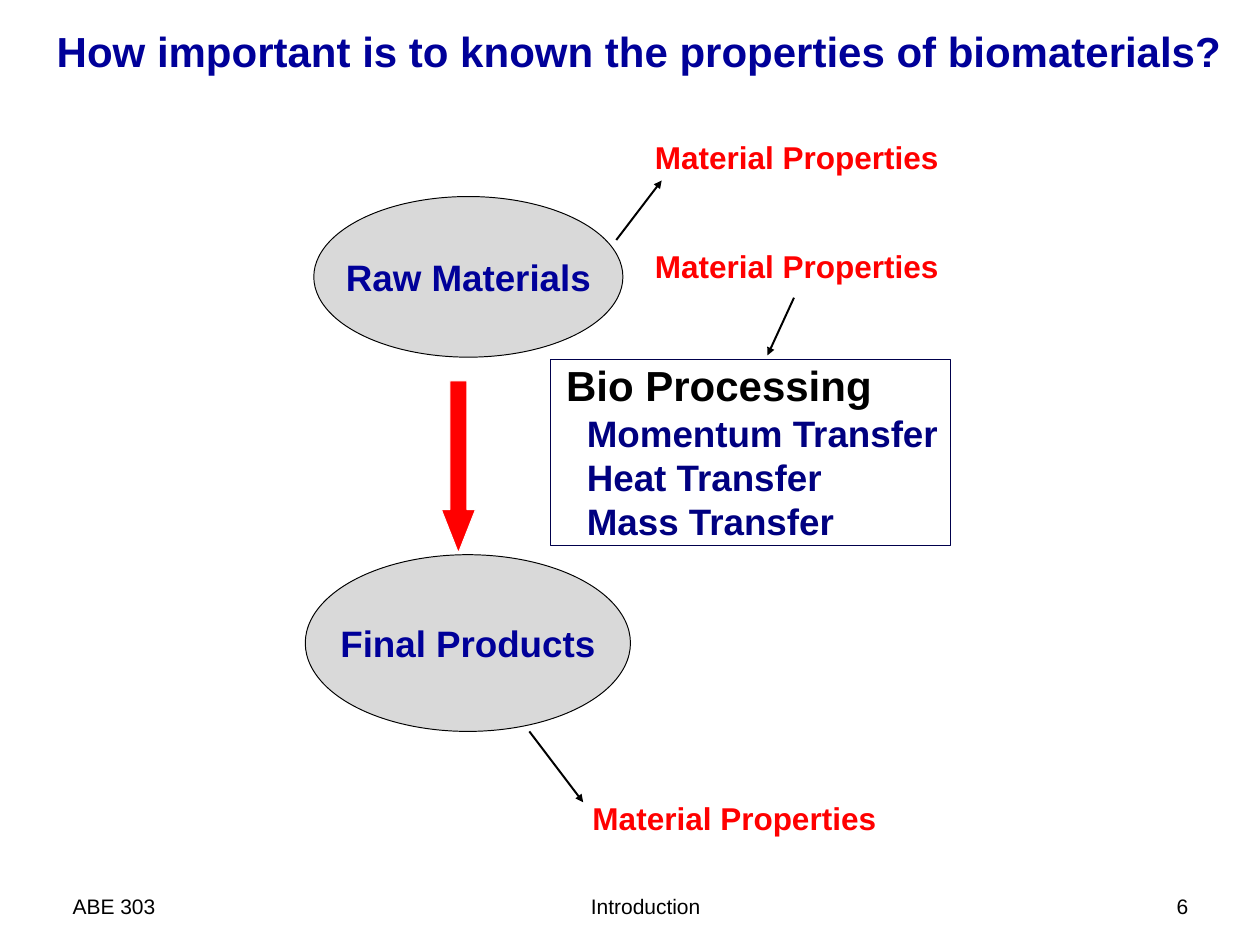
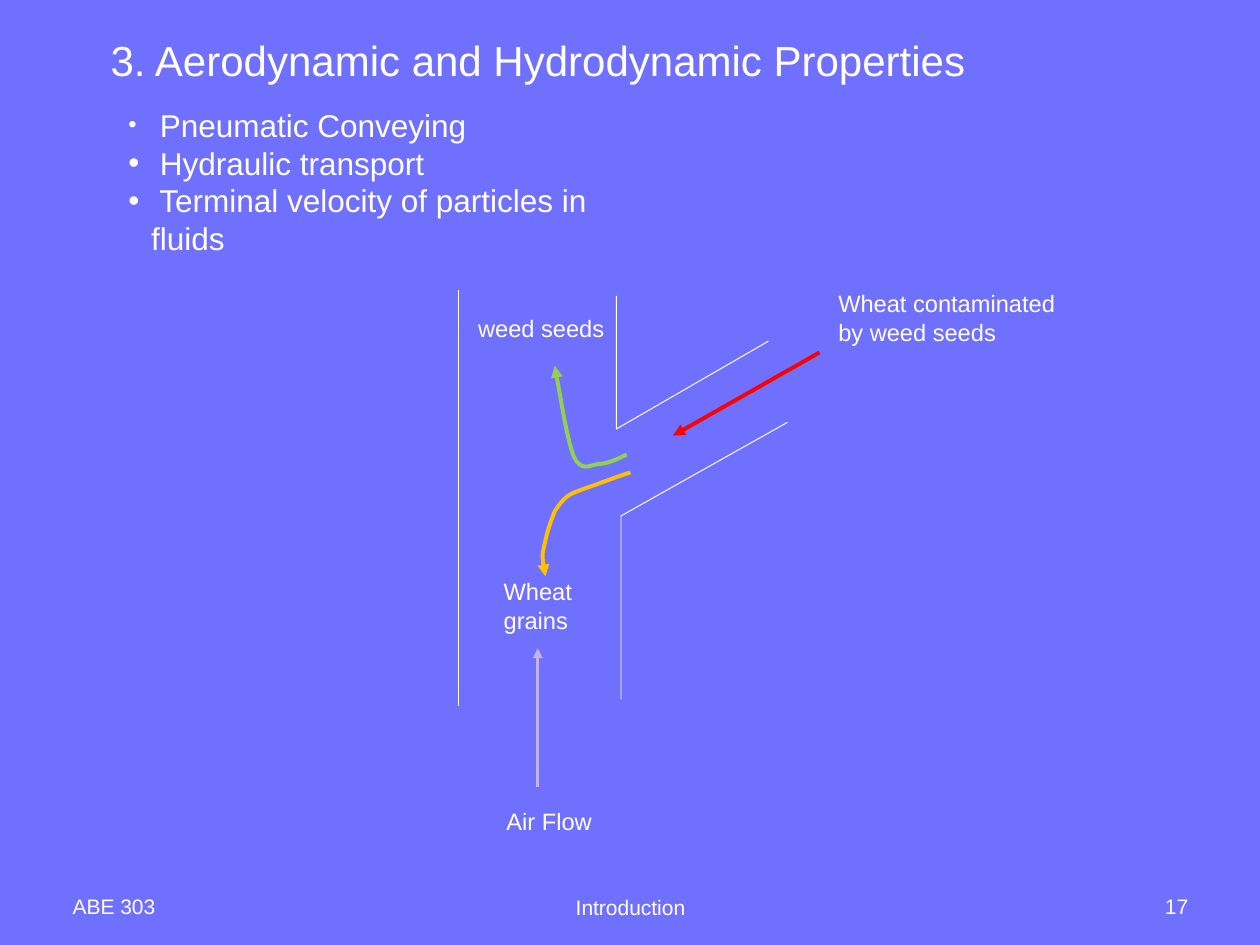
from lxml import etree
from pptx import Presentation
from pptx.dml.color import RGBColor
from pptx.enum.shapes import MSO_CONNECTOR, MSO_SHAPE
from pptx.enum.text import MSO_ANCHOR as Anchor, MSO_AUTO_SIZE, PP_ALIGN as Align
from pptx.oxml.ns import qn
from pptx.util import Inches, Pt

FONT = "Arial"
COLORS = {
    "white": "FFFFFF", "black": "000000", "periwinkle": "7070FF",
    "title blue": "000099", "navy": "000080", "frame": "00004C",
    "grey": "D9D9D9", "red": "FF0000", "green": "92D050",
    "amber": "FFC000", "lilac": "C5B1E5",
}
TITLE_ONLY = 5


def rgb(color):
    return RGBColor.from_string(COLORS[color])


def inches(*lengths):
    return [Inches(length) for length in lengths]


def add_bullet(paragraph, percent):
    props = paragraph._p.get_or_add_pPr()
    etree.SubElement(props, qn("a:buSzPct"), val=str(percent * 1000))
    etree.SubElement(props, qn("a:buFont"), typeface=FONT)
    etree.SubElement(props, qn("a:buChar"), char="•")


def write(frame, *lines, size=18, color="black", bold=False, align=Align.LEFT,
          anchor=Anchor.TOP, wrap=False, indent=0, hanging=0, bullets=()):
    """Fill a frame; a line is a string or (string, size, color, indent)."""
    frame.auto_size = MSO_AUTO_SIZE.NONE
    frame.word_wrap = wrap
    frame.vertical_anchor = anchor
    for number, line in enumerate(lines):
        if isinstance(line, str):
            line = (line, size, color, indent)
        text, line_size, line_color, left = line
        paragraph = frame.add_paragraph() if number else frame.paragraphs[0]
        paragraph.alignment = align
        if left:
            props = paragraph._p.get_or_add_pPr()
            props.set("marL", str(Inches(left)))
            props.set("indent", str(-Inches(hanging)))
        if bullets:
            add_bullet(paragraph, bullets[number])
        run = paragraph.add_run()
        run.text = text
        run.font.name, run.font.size, run.font.bold = FONT, Pt(line_size), bold
        run.font.color.rgb = rgb(line_color)


def add_text(slide, box, *lines, **style):
    write(slide.shapes.add_textbox(*inches(*box)).text_frame, *lines, **style)


def add_title_slide(deck, title, box, background, **style):
    slide = deck.slides.add_slide(deck.slide_layouts[TITLE_ONLY])
    slide.background.fill.solid()
    slide.background.fill.fore_color.rgb = rgb(background)
    heading = slide.shapes.title
    heading.left, heading.top, heading.width, heading.height = inches(*box)
    write(heading.text_frame, title, size=32, wrap=True, **style)
    return slide


def add_footer(slide, number, color, middle):
    style = dict(size=16, color=color, anchor=Anchor.BOTTOM, wrap=True)
    add_text(slide, (0.67, 9.1, 3.11, 0.67), "ABE 303", **style)
    add_text(slide, (*middle, 4.22, 0.67), "Introduction", align=Align.CENTER, **style)
    add_text(slide, (9.56, 9.1, 3.11, 0.67), str(number), align=Align.RIGHT, **style)


def set_line(shape, color, width, arrow=False):
    shape.line.color.rgb = rgb(color)
    shape.line.width = Pt(width)
    if arrow:
        etree.SubElement(shape.line._get_or_add_ln(), qn("a:tailEnd"), type="triangle")


def add_shape(slide, kind, box, fill, line):
    shape = slide.shapes.add_shape(kind, *inches(*box))
    shape.shadow.inherit = False
    if fill:
        shape.fill.solid()
        shape.fill.fore_color.rgb = rgb(fill)
    else:
        shape.fill.background()
    set_line(shape, line, 0.75)
    return shape


def add_line(slide, start, end, color, width, arrow=True):
    line = slide.shapes.add_connector(MSO_CONNECTOR.STRAIGHT, *inches(*start, *end))
    set_line(line, color, width, arrow)
    etree.SubElement(line._element.spPr, qn("a:effectLst"))


def add_path(slide, points, color, width, arrow=False):
    """Draw an open outline through the points."""
    builder = slide.shapes.build_freeform(
        *inches(*points[0]), scale=1.0)
    builder.add_line_segments([inches(*point) for point in points[1:]], close=False)
    outline = builder.convert_to_shape()
    outline.shadow.inherit = False
    outline.fill.background()
    set_line(outline, color, width, arrow)


def bezier(points, steps=8):
    """Sample joined cubic curves: a start, then three points per curve."""
    samples = [points[0]]
    for first in range(0, len(points) - 1, 3):
        controls = points[first:first + 4]
        for step in range(1, steps + 1):
            t = step / steps
            weights = ((1 - t) ** 3, 3 * t * (1 - t) ** 2, 3 * t ** 2 * (1 - t), t ** 3)
            samples.append(tuple(
                sum(w * point[axis] for w, point in zip(weights, controls))
                for axis in (0, 1)))
    return samples


def build_importance(deck):
    slide = add_title_slide(
        deck, "How important is to known the properties of biomaterials?",
        (0.5, 0.22, 12.67, 0.64), "white", color="title blue", bold=True)

    for stage, box in (("Raw Materials", (3.32, 2.08, 3.27, 1.7)),
                       ("Final Products", (3.23, 5.87, 3.44, 1.87))):
        oval = add_shape(slide, MSO_SHAPE.OVAL, box, "grey", "black")
        write(oval.text_frame, stage, size=28, color="title blue", bold=True,
              align=Align.CENTER, anchor=Anchor.MIDDLE)

    process_arrow = add_shape(slide, MSO_SHAPE.DOWN_ARROW, (4.67, 4.03, 0.36, 1.82),
                              "red", "white")
    process_arrow.adjustments[1] = 1.27

    transfers = [(f"{kind} Transfer", 28, "navy", 0.22)
                 for kind in ("Momentum", "Heat", "Mass")]
    add_text(slide, (5.89, 3.76, 4.18, 2.05), "Bio Processing", *transfers,
             size=32, bold=True)
    add_shape(slide, MSO_SHAPE.RECTANGLE, (5.82, 3.8, 4.24, 1.97), None, "frame")

    for label_at, start, end in (((6.83, 1.41), (6.52, 2.54), (7, 1.91)),
                                 ((6.83, 2.56), (8.4, 3.15), (8.12, 3.76)),
                                 ((6.17, 8.41), (5.6, 7.74), (6.17, 8.49))):
        add_text(slide, (*label_at, 3.23, 0.51), "Material Properties",
                 size=24, color="red", bold=True)
        add_line(slide, start, end, "black", 1.5)

    add_footer(slide, 6, "black", (4.72, 9.1))


def build_aerodynamics(deck):
    slide = add_title_slide(
        deck, "3. Aerodynamic and Hydrodynamic Properties",
        (1.07, 0.31, 9.32, 0.64), "periwinkle", color="white")
    add_text(slide, (1.26, 1.07, 5.85, 1.31), " Pneumatic Conveying",
             " Hydraulic transport", " Terminal velocity of particles in fluids",
             size=24, color="white", wrap=True, indent=0.24, hanging=0.24,
             bullets=(75, 100, 100))

    add_line(slide, (4.85, 3.07), (4.85, 7.47), "white", 0.75, arrow=False)
    for duct_wall in (((6.52, 3.13), (6.52, 4.54), (8.13, 3.61)),
                      ((8.33, 4.47), (6.57, 5.46), (6.57, 7.4))):
        add_path(slide, duct_wall, "white", 0.75)

    add_line(slide, (5.69, 8.33), (5.69, 6.86), "lilac", 2.5)
    add_line(slide, (8.67, 3.73), (7.12, 4.61), "red", 3)
    weed_path = ((6.63, 4.81), (6.53, 4.86), (6.42, 4.91), (6.33, 4.91),
                 (6.24, 4.92), (6.15, 5), (6.07, 4.83),
                 (6, 4.65), (5.94, 4.26), (5.87, 3.87))
    wheat_path = ((6.67, 5), (6.54, 5.04), (6.41, 5.09), (6.3, 5.13),
                  (6.19, 5.17), (6.09, 5.2), (6.02, 5.24),
                  (5.95, 5.29), (5.91, 5.35), (5.87, 5.41),
                  (5.84, 5.48), (5.81, 5.57), (5.79, 5.64),
                  (5.77, 5.72), (5.75, 5.8), (5.74, 5.87),
                  (5.74, 5.95), (5.76, 6.02), (5.77, 6.1))
    for curve, color in ((weed_path, "green"), (wheat_path, "amber")):
        add_path(slide, bezier(curve), color, 3, arrow=True)

    for box, *lines in (((5.26, 8.49, 1.11, 0.4), "Air Flow"),
                        ((8.77, 3.01, 2.52, 0.71), "Wheat contaminated", "by weed seeds"),
                        ((4.96, 3.27, 1.55, 0.4), "weed seeds"),
                        ((5.23, 6.06, 1, 0.71), "Wheat", "grains")):
        add_text(slide, box, *lines, color="white")

    add_footer(slide, 17, "white", (4.56, 9.11))


def main():
    deck = Presentation()
    deck.slide_width, deck.slide_height = inches(13.33, 10)
    build_importance(deck)
    build_aerodynamics(deck)
    deck.save("out.pptx")


if __name__ == "__main__":
    main()
